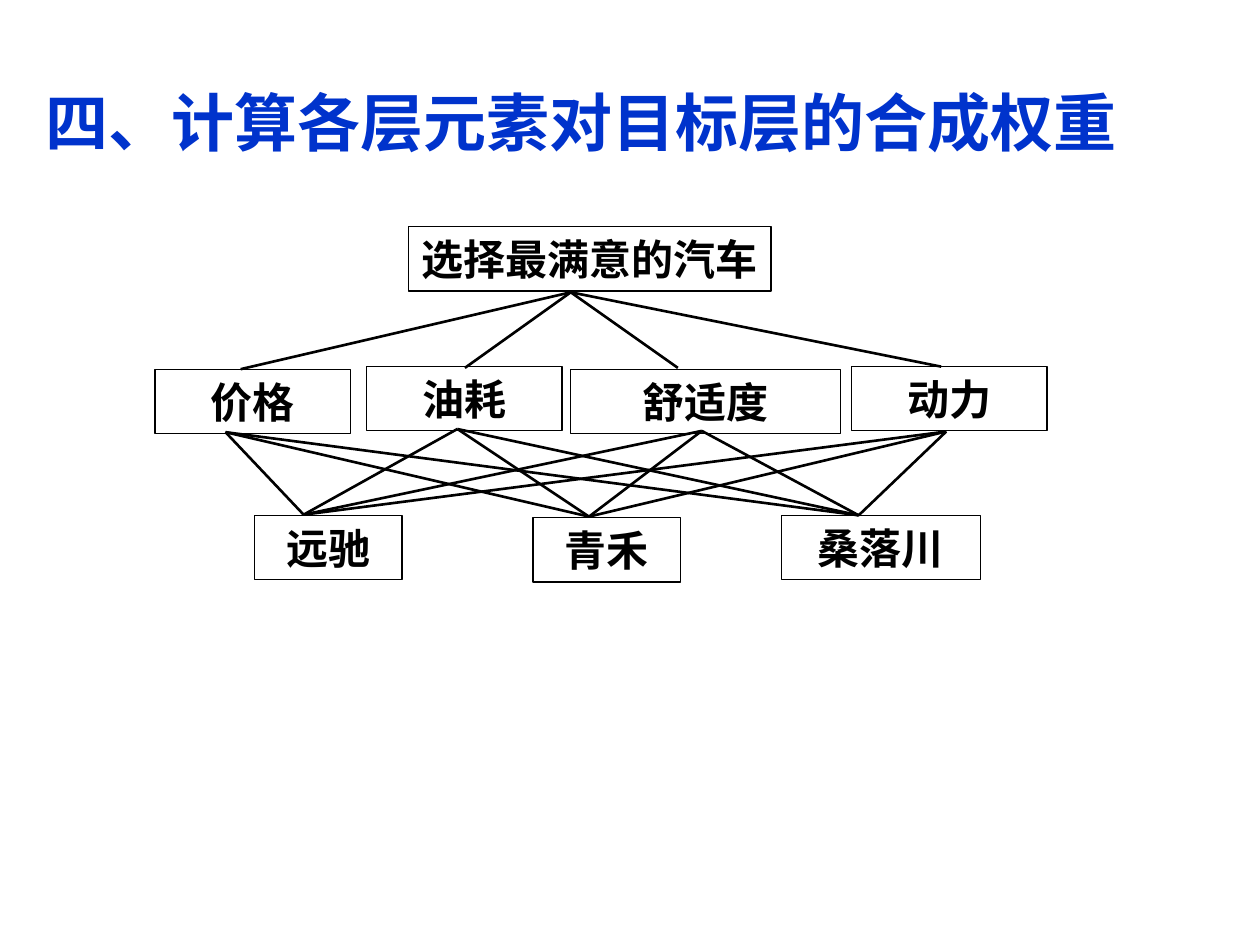
from dataclasses import dataclass
from itertools import product

from lxml import etree
from pptx import Presentation
from pptx.dml.color import RGBColor
from pptx.enum.shapes import MSO_CONNECTOR, MSO_SHAPE
from pptx.enum.text import MSO_ANCHOR, PP_ALIGN
from pptx.oxml.ns import qn
from pptx.util import Inches, Pt

RECT = MSO_SHAPE.RECTANGLE
LINE = MSO_CONNECTOR.STRAIGHT
CENTER = PP_ALIGN.CENTER
MIDDLE = MSO_ANCHOR.MIDDLE


@dataclass(frozen=True)
class Theme:
    blue: RGBColor = RGBColor(0x00, 0x33, 0xCC)
    black: RGBColor = RGBColor(0, 0, 0)
    head_font: str = "Calibri"
    body_font: str = "Times New Roman"
    head_size: int = 36
    body_size: int = 24
    edge: float = 0.75
    link: float = 1.5


THEME = Theme()
COLS, ROWS = 100, 75
WIDE, HIGH = Inches(10), Inches(7.5)
TALL = 5.1  # rows taken by each box

# Each box: text, left column, top row, columns wide
GOAL = ("选择最满意的汽车", 32.4, 18, 28.8)
CRITERIA = [
    ("价格", 12.3, 29.3, 15.5),
    ("油耗", 29.1, 29.1, 15.5),
    ("舒适度", 45.3, 29.3, 21.4),
    ("动力", 67.6, 29.1, 15.5),
]
CARS = [
    ("远驰", 20.2, 40.9, 11.7),
    ("青禾", 42.3, 41.1, 11.7),
    ("桑落川", 62, 40.9, 15.8),
]

# Points (column, row) where the links meet the boxes
GOAL_FOOT = [(45.3, 23.2)]
CRITERIA_TOPS = [(19.1, 29.3), (36.9, 29.2), (53.8, 29.2), (74.7, 29.1)]
CRITERIA_FEET = [(17.9, 34.3), (36.3, 34.05), (55.7, 34.2), (75.1, 34.25)]
CAR_TOPS = [(24.1, 40.85), (46.75, 41), (68.15, 40.9)]


def col(n):
    return round(WIDE * n / COLS)


def row(n):
    return round(HIGH * n / ROWS)


def write(frame, text, font, size, color, wrap=True):
    frame.word_wrap = wrap
    frame.vertical_anchor = MIDDLE
    para = frame.paragraphs[0]
    para.alignment = CENTER
    run = para.add_run()
    run.text = text
    run.font.name = font
    run.font.size = Pt(size)
    run.font.bold = True
    run.font.color.rgb = color


def add_title(slide, text):
    box = slide.shapes.add_textbox(col(1.1), row(5.7), col(90), row(7.9))
    write(box.text_frame, text, THEME.head_font, THEME.head_size, THEME.blue)


def add_box(group, text, left, top, width, wrap=True):
    box = group.shapes.add_shape(RECT, col(left), row(top), col(width), row(TALL))
    box.shadow.inherit = False
    box.fill.background()
    box.line.color.rgb = THEME.black
    box.line.width = Pt(THEME.edge)
    write(box.text_frame, text, THEME.body_font, THEME.body_size,
          THEME.black, wrap)


def add_links(group, starts, ends):
    """Join every start point to every end point."""
    for (x1, y1), (x2, y2) in product(starts, ends):
        link = group.shapes.add_connector(LINE, col(x1), row(y1), col(x2), row(y2))
        link.line.color.rgb = THEME.black
        link.line.width = Pt(THEME.link)
        etree.SubElement(link._element.spPr, qn("a:effectLst"))


def main():
    deck = Presentation()
    deck.slide_width, deck.slide_height = WIDE, HIGH
    slide = deck.slides.add_slide(deck.slide_layouts[6])

    add_title(slide, "四、计算各层元素对目标层的合成权重")
    tree = slide.shapes.add_group_shape()
    add_box(tree, *GOAL, wrap=False)
    for node in CRITERIA + CARS:
        add_box(tree, *node)
    add_links(tree, GOAL_FOOT, CRITERIA_TOPS)
    add_links(tree, CRITERIA_FEET, CAR_TOPS)

    deck.save("out.pptx")


if __name__ == "__main__":
    main()
